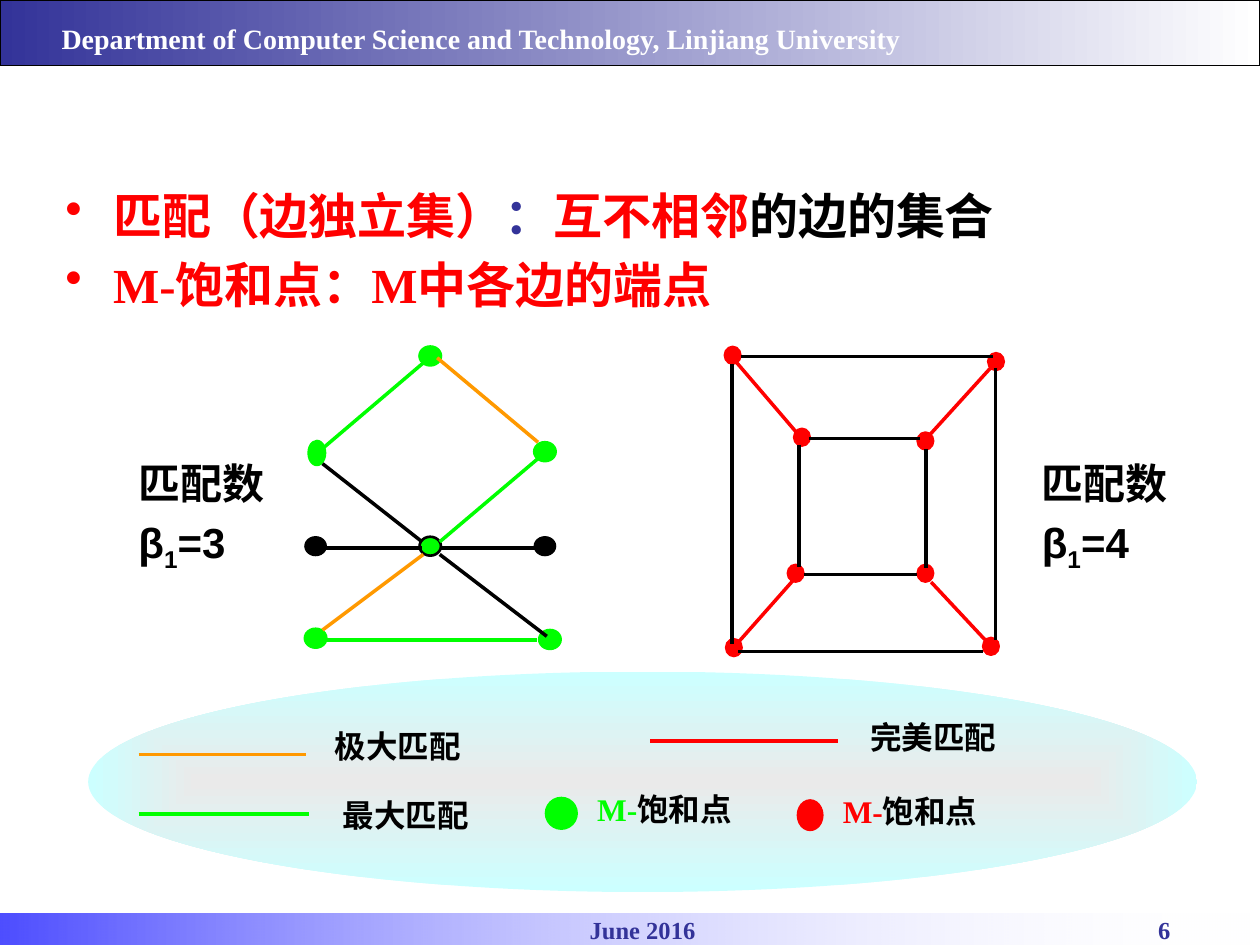
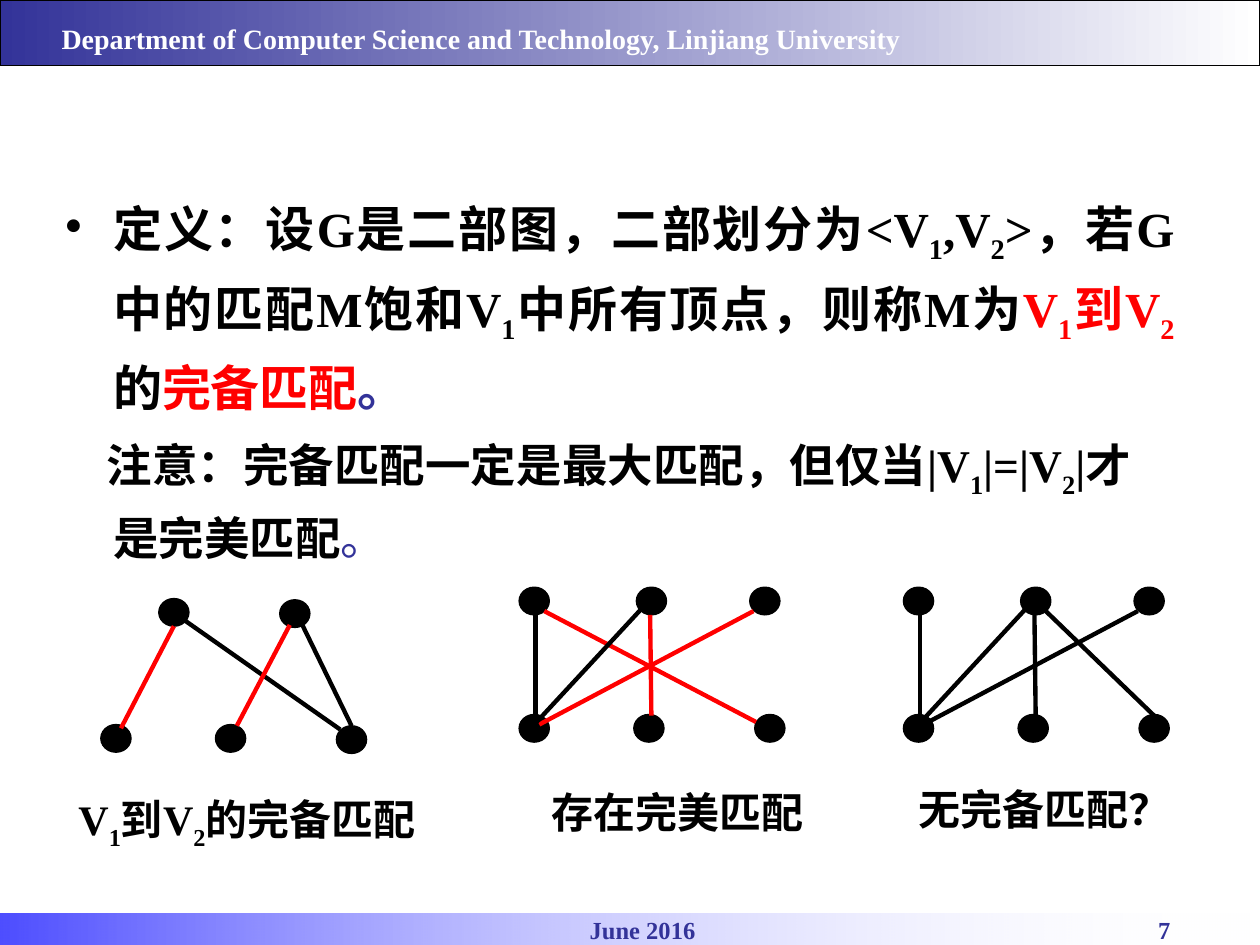
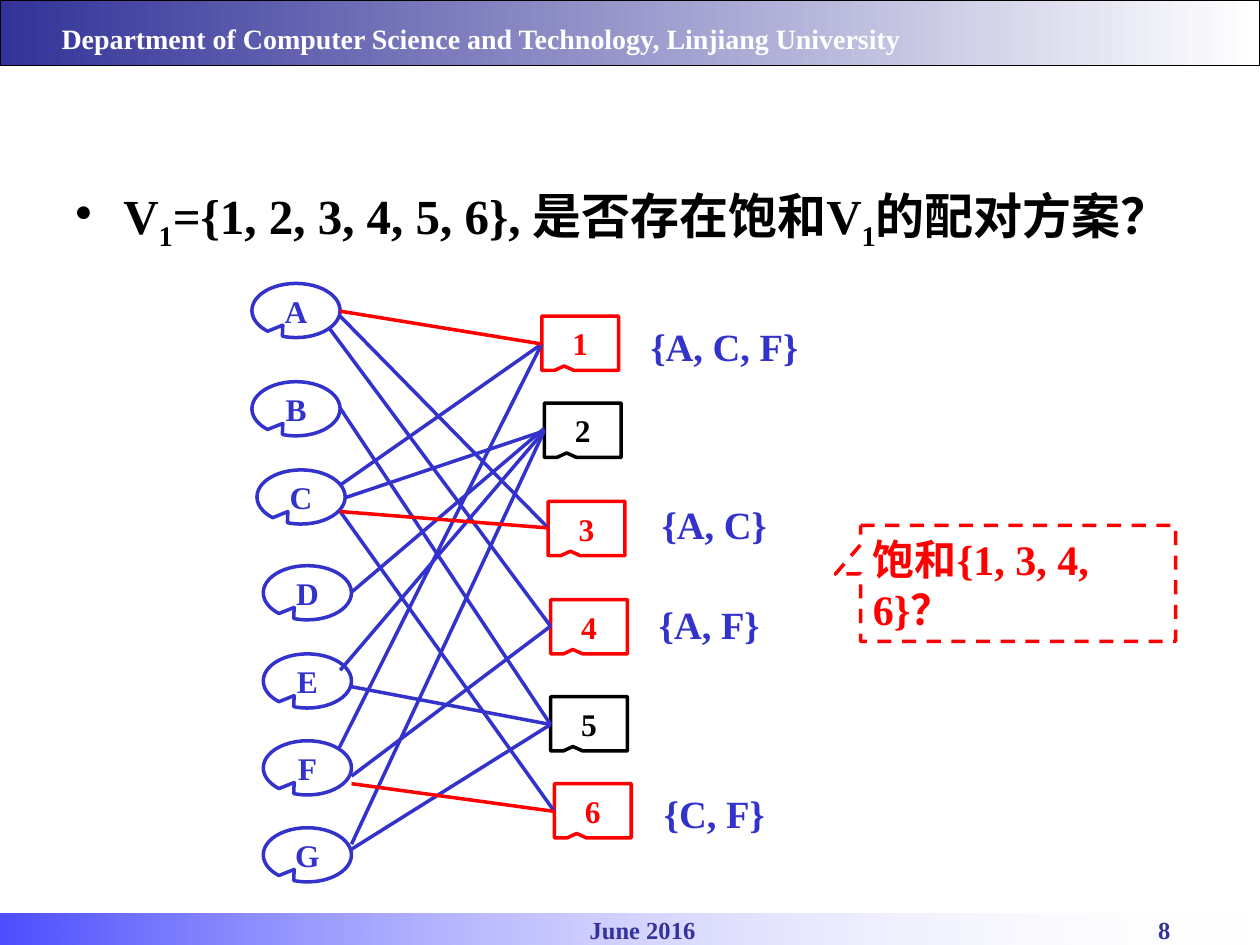
from lxml import etree
from pptx import Presentation
from pptx.dml.color import RGBColor
from pptx.enum.dml import MSO_LINE
from pptx.enum.shapes import MSO_CONNECTOR, MSO_SHAPE
from pptx.enum.text import PP_ALIGN
from pptx.oxml.ns import qn
from pptx.util import Pt

PX = 9144
W, H = 1000, 750
LEFT, CENTER, JUSTIFY = PP_ALIGN.LEFT, PP_ALIGN.CENTER, PP_ALIGN.JUSTIFY
STRAIGHT = MSO_CONNECTOR.STRAIGHT
RECT, OVAL = MSO_SHAPE.RECTANGLE, MSO_SHAPE.OVAL
NODE = MSO_SHAPE.FLOWCHART_CONNECTOR
OVAL_CALLOUT = MSO_SHAPE.OVAL_CALLOUT
RECT_CALLOUT = MSO_SHAPE.RECTANGULAR_CALLOUT
ROUND_CALLOUT = MSO_SHAPE.ROUNDED_RECTANGULAR_CALLOUT
DASH = MSO_LINE.DASH

SERIF, SANS = "Times New Roman", "Arial"
COLORS = {
    "navy": "333399", "blue": "3333CC", "band": "0000FF", "white": "FFFFFF",
    "black": "000000", "red": "FF0000", "green": "00FF00", "orange": "FF9900",
    "gray": "EAEAEA", "cyan": "CCFFFF",
}


def rgb(name):
    return RGBColor.from_string(COLORS[name])


class Deck:
    def __init__(self):
        self.prs = Presentation()
        self.prs.slide_width, self.prs.slide_height = W * PX, H * PX
        self.s = None

    def new_slide(self, number):
        self.s = self.prs.slides.add_slide(self.prs.slide_layouts[6])
        header = self.shape(RECT, 0, 0, W, 52, line="black", width=0.75)
        self.gradient(header, "navy", "white")
        footer = self.shape(RECT, 0, 725, W, 25)
        self.gradient(footer, "band", "white", alphas=(70, 0))
        self.text(410, 721, 200, 33, [[("June 2016", "navy")]], 14, align=CENTER)
        self.text(894, 721, 60, 33, [[(str(number), "navy")]], 14, align=CENTER)
        name = "Department of Computer Science and Technology, Linjiang University"
        self.text(39, 12, 708, 40, [[(name, "white")]], 16)

    def shape(self, kind, x, y, w, h, fill=None, line=None, width=1, adj=(), dash=None):
        sp = self.s.shapes.add_shape(kind, x * PX, y * PX, w * PX, h * PX)
        sp.shadow.inherit = False
        for i, value in enumerate(adj):
            sp.adjustments[i] = value
        if fill:
            sp.fill.solid()
            sp.fill.fore_color.rgb = rgb(fill)
        else:
            sp.fill.background()
        if line:
            sp.line.color.rgb = rgb(line)
            sp.line.width = Pt(width)
            if dash:
                sp.line.dash_style = dash
        else:
            sp.line.fill.background()
        return sp

    def gradient(self, sp, start, end, alphas=(), radial=False):
        sp.fill.gradient()
        sp.fill.gradient_angle = 0
        for stop, name in zip(sp.fill.gradient_stops, (start, end)):
            stop.color.rgb = rgb(name)
        grad = sp._element.spPr.find(qn("a:gradFill"))
        for clr, alpha in zip(grad.iter(qn("a:srgbClr")), alphas):
            etree.SubElement(clr, qn("a:alpha"), val=str(alpha * 1000))
        if radial:
            grad.remove(grad.find(qn("a:lin")))
            shade = etree.SubElement(grad, qn("a:path"), {"path": "shape"})
            etree.SubElement(shade, qn("a:fillToRect"), dict.fromkeys("ltrb", "50000"))

    def lines(self, color, ends, width=2):
        for x1, y1, x2, y2 in ends:
            cn = self.s.shapes.add_connector(STRAIGHT, x1 * PX, y1 * PX, x2 * PX, y2 * PX)
            cn.line.color.rgb = rgb(color)
            cn.line.width = Pt(width)
            etree.SubElement(cn._element.spPr, qn("a:effectLst"))

    def run(self, p, text, color, size, font=SERIF, bold=True, sub=False):
        if not text:
            return
        r = p.add_run()
        r.text = text
        r.font.name, r.font.size, r.font.bold = font, Pt(size), bold
        r.font.color.rgb = rgb(color)
        if sub:
            r._r.get_or_add_rPr().set("baseline", "-25000")

    def add_runs(self, p, runs, size, font=SERIF, align=LEFT):
        p.alignment = align
        for text, color, *extra in runs:
            style = {"font": font, **(extra[0] if extra else {})}
            head, *tails = text.split("_")
            self.run(p, head, color, size, **style)
            for tail in tails:
                self.run(p, tail[0], color, size, sub=True, **style)
                self.run(p, tail[1:], color, size, **style)

    def text(self, x, y, w, h, paras, size, font=SERIF, align=LEFT, gap=0):
        tf = self.s.shapes.add_textbox(x * PX, y * PX, w * PX, h * PX).text_frame
        tf.word_wrap = True
        for i, runs in enumerate(paras):
            p = tf.paragraphs[0] if i == 0 else tf.add_paragraph()
            p.space_before = Pt(gap if i else 0)
            self.add_runs(p, runs, size, font, align)
        return tf

    def label(self, sp, text, color, size, align=CENTER):
        self.add_runs(sp.text_frame.paragraphs[0], [(text, color)], size, align=align)

    def indent(self, p, first, bullet=True):
        pPr = p._p.get_or_add_pPr()
        pPr.set("marL", str(38 * PX))
        pPr.set("indent", str(first * PX))
        if bullet:
            etree.SubElement(pPr, qn("a:buChar"), char="•")

    def body(self, x, y, w, h, paras, align=JUSTIFY):
        tf = self.text(x, y, w, h, paras, 28, align=align, gap=6)
        for p in tf.paragraphs:
            self.indent(p, -38)
        return tf


def matching_slide(d):
    d.new_slide(6)
    lens = d.shape(OVAL, 70, 533, 880, 175)
    d.gradient(lens, "gray", "cyan", radial=True)
    d.body(42, 142, 908, 117, [
        [("匹配（边独立集）", "red"), ("：", "navy"), ("互不相邻", "red"), ("的边的集合", "black")],
        [("M-饱和点：M中各边的端点", "red")],
    ])

    for x, y in [(333, 275), (424, 351), (333, 426), (242, 499), (428, 500)]:
        d.shape(OVAL, x, y, 17, 15, "green", "black" if y == 426 else "green", 1.5)
    d.shape(OVAL, 245, 350, 13, 19, "green", "green", 1.5)
    for x in (242, 424):
        d.shape(OVAL, x, 426, 17, 15, "black", "black", 0.75)
    d.lines("green", [(336, 288, 256, 356), (349, 430, 427, 364), (258, 508, 426, 508)])
    d.lines("orange", [(347, 284, 427, 351), (336, 440, 256, 500)])
    d.lines("black", [(256, 368, 335, 430), (349, 440, 434, 505),
                      (258, 435, 335, 435), (349, 435, 426, 435)])

    for x, y in [(575, 275), (576, 507), (780, 506), (784, 280),
                 (630, 340), (728, 343), (625, 448), (728, 448)]:
        d.shape(OVAL, x, y, 13, 14, "red", "red", 1)
    d.lines("black", [(588, 283, 788, 283), (586, 517, 780, 517),
                      (581, 289, 581, 511), (790, 292, 790, 508),
                      (642, 348, 730, 348), (638, 456, 728, 456),
                      (634, 353, 634, 450), (735, 356, 735, 451)])
    d.lines("red", [(584, 287, 632, 343), (630, 460, 584, 512),
                    (738, 345, 788, 290), (739, 462, 782, 508)])

    for x, count in [(100, 3), (817, 4)]:
        d.text(x, 358, 142, 99, [[("匹配数", "black")], [(f"β_1={count}", "black")]],
               24, SANS, gap=5)

    for color, ends, x, y, name in [
        ("orange", (110, 599, 243, 599), 256, 572, "极大匹配"),
        ("green", (110, 646, 245, 646), 262, 627, "最大匹配"),
        ("red", (516, 588, 665, 588), 681, 565, "完美匹配"),
    ]:
        d.lines(color, [ends])
        d.text(x, y, 212, 40, [[(name, "black")]], 18, SANS)
    for color, box, x, y in [("green", (433, 633, 25, 25), 464, 622),
                             ("red", (633, 635, 20, 24), 659, 624)]:
        d.shape(OVAL, *box, color, color, 1)
        d.text(x, y, 228, 40, [[("M-", color), ("饱和点", "black", {"font": SANS})]], 18)


def bipartite_nodes(d, points):
    for x, y in points:
        d.shape(NODE, x, y, 22, 24, "black", "black", 0.75).rotation = 90


def six_node_graph(d, dx, color, diagonal):
    bipartite_nodes(d, [(x + dx, y) for x, y in [
        (413, 465), (506, 465), (596, 465), (413, 566), (504, 566), (600, 566)]])
    shifted = [[(x1 + dx, y1, x2 + dx, y2) for x1, y1, x2, y2 in ends] for ends in (
        [(428, 575, 598, 485), (516, 488, 517, 568), diagonal],
        [(425, 483, 425, 570), (425, 574, 513, 479)])]
    d.lines(color, shifted[0], 2.5)
    d.lines("black", shifted[1], 2.5)


def complete_matching_slide(d):
    d.new_slide(7)
    tf = d.body(42, 142, 900, 283, [[
        ("定义：设G是二部图，二部划分为<V_1,V_2>，若G中的匹配M饱和V_1中所有顶点，则称M为", "black"),
        ("V_1到V_2", "red"), ("的", "black"), ("完备匹配", "red"), ("。", "navy"),
    ]])
    note = tf.add_paragraph()
    d.add_runs(note, [("注意：完备匹配一定是最大匹配，但仅当|V_1|=|V_2|才是完美匹配", "black"),
                      ("。", "navy", {"bold": False})], 26)
    note.space_before = Pt(5)
    d.indent(note, -5, bullet=False)
    for p in tf.paragraphs:
        p.line_spacing = 1.2

    bipartite_nodes(d, [(127, 474), (223, 475), (81, 574), (172, 574), (268, 575)])
    d.lines("black", [(146, 492, 270, 579), (238, 492, 279, 576)], 2.5)
    d.lines("red", [(230, 496, 188, 576), (138, 497, 96, 578)], 2.5)
    six_node_graph(d, 0, "red", (432, 485, 600, 573))
    six_node_graph(d, 305, "black", (525, 485, 611, 568))
    for x, y, w, caption in [(25, 625, 342, "V_1到V_2的完备匹配"),
                             (392, 619, 292, "存在完美匹配"),
                             (683, 617, 292, "无完备匹配？")]:
        d.text(x, y, w, 58, [[(caption, "black")]], 24, align=CENTER)


def example_slide(d):
    d.new_slide(8)
    d.body(50, 142, 925, 75, [
        [("V_1={1, 2, 3, 4, 5, 6}, 是否存在饱和V_1的配对方案？", "black")]], LEFT)

    places = [(200, 225), (200, 303), (204, 373), (209, 449), (209, 519), (209, 588), (209, 657)]
    for letter, (x, y) in zip("ABCDEFG", places):
        sp = d.shape(OVAL_CALLOUT, x, y, 70, 43, None, "blue", 2, (-0.15, 0.27))
        d.label(sp, letter, "blue", 18)
    places = [(430, 251), (432, 320), (435, 398), (437, 476), (437, 553), (440, 622)]
    for digit, (x, y) in zip("123456", places):
        color = "black" if digit in "25" else "red"
        sp = d.shape(RECT_CALLOUT, x, y, 61, 43, "white", color, 2, (-0.21, 0.42))
        d.label(sp, digit, color, 18)

    d.lines("blue", [
        (270, 385, 430, 273), (269, 594, 430, 273), (274, 395, 432, 342),
        (279, 470, 432, 340), (437, 575, 279, 545), (279, 670, 432, 342),
        (270, 251, 435, 419), (270, 532, 432, 342), (261, 260, 437, 497),
        (279, 616, 437, 497), (437, 575, 279, 674), (437, 575, 270, 324),
        (440, 644, 270, 406)])
    d.lines("red", [(270, 247, 430, 273), (270, 406, 435, 419), (440, 644, 279, 622)])

    for y, w, members in [(249, 150, "{A, C, F}"), (390, 134, "{A, C}"),
                          (469, 126, "{A, F}"), (619, 134, "{C, F}")]:
        sp = d.shape(ROUND_CALLOUT, 500, y, w, 52, adj=(-0.19, 0.42, 0.17))
        d.label(sp, members, "blue", 22)
    sp = d.shape(RECT_CALLOUT, 683, 417, 250, 92, None, "red", 2, (-0.58, -0.08), DASH)
    d.label(sp, "饱和{1, 3, 4, 6}？", "red", 24, LEFT)


def main():
    d = Deck()
    matching_slide(d)
    complete_matching_slide(d)
    example_slide(d)
    d.prs.save("out.pptx")


if __name__ == "__main__":
    main()
